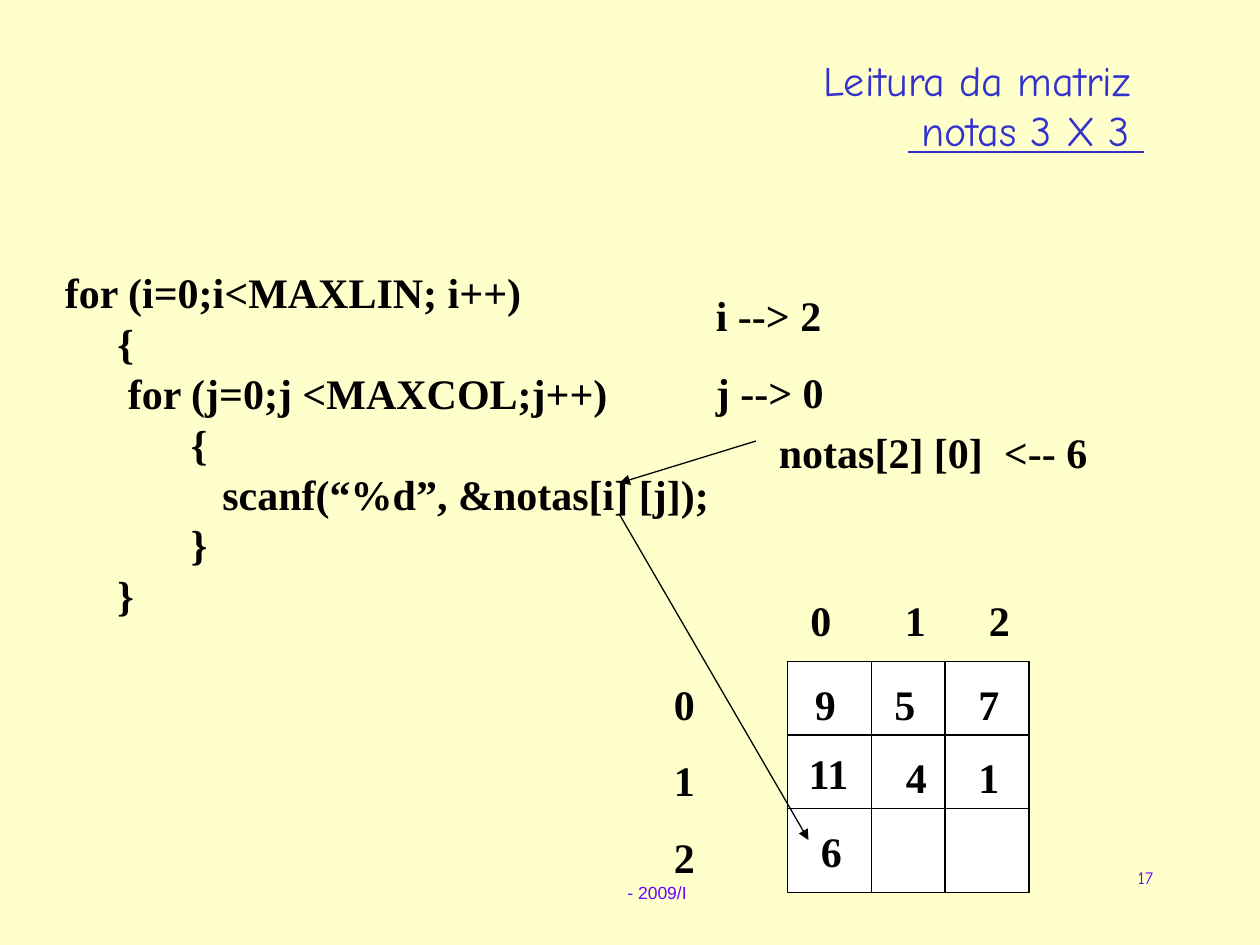
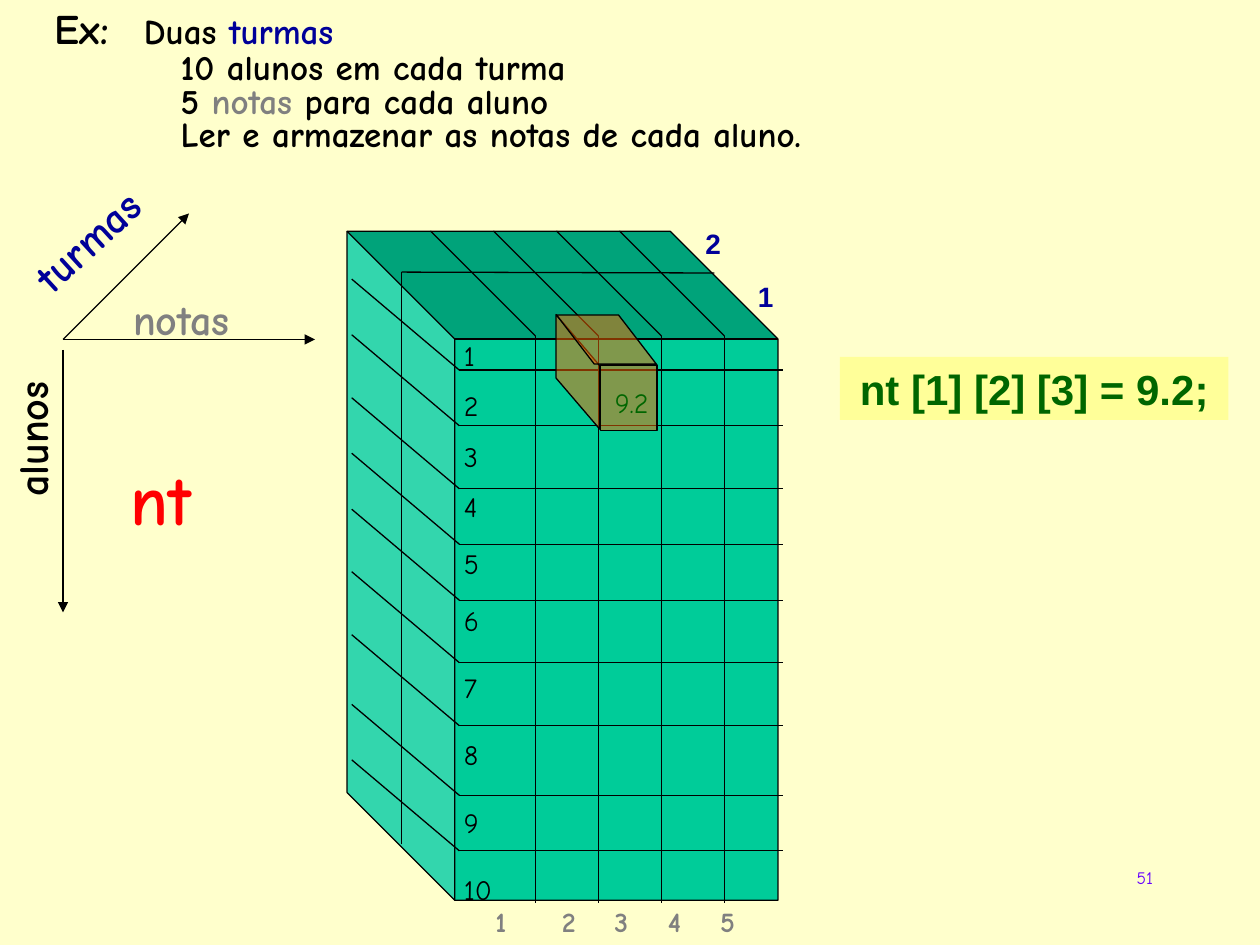
from lxml.etree import SubElement
from pptx import Presentation
from pptx.dml.color import RGBColor
from pptx.enum.shapes import MSO_CONNECTOR, MSO_SHAPE
from pptx.enum.text import MSO_ANCHOR, PP_ALIGN
from pptx.oxml.ns import qn
from pptx.util import Pt

# Shared colours and fonts
CREAM, BLACK, WHITE = "FFFFCC", "000000", "FFFFFF"
BLUE, NAVY, VIOLET = "3333CC", "000099", "6600FF"
GRAY, GREEN, DARK_GREEN = "808080", "00CC99", "006600"
RED, ORANGE, YELLOW = "FF0000", "FF6600", "FFFF99"
COMIC, TIMES, ARIAL = "Comic Neue", "Times New Roman", "Arial"
rgb = RGBColor.from_string


def text(sp, lines, font, size, color, bold=False, align=PP_ALIGN.LEFT,
         before=0, spacing=None, tab=None):
    """Fill a shape; a line is a string or a list of (text, colour, size) runs."""
    tf = sp.text_frame
    tf.word_wrap = True
    tf.vertical_anchor = MSO_ANCHOR.TOP
    for i, line in enumerate(lines):
        p = tf.add_paragraph() if i else tf.paragraphs[0]
        p.alignment = align
        p.space_before = Pt(before if i else 0)
        if spacing:
            p.line_spacing = spacing[i]
        if tab:
            tabs = SubElement(p._p.get_or_add_pPr(), qn("a:tabLst"))
            SubElement(tabs, qn("a:tab"), pos=str(Pt(tab)), algn="l")
        runs = [(line, color, size)] if isinstance(line, str) else line
        for words, run_color, run_size in runs:
            r = p.add_run()
            r.text = words
            r.font.name = font
            r.font.size = Pt(run_size)
            r.font.bold = bold
            r.font.color.rgb = rgb(run_color)
    return tf


def line(s, x1, y1, x2, y2, arrow=False):
    c = s.shapes.add_connector(MSO_CONNECTOR.STRAIGHT, Pt(x1), Pt(y1), Pt(x2), Pt(y2))
    c.line.color.rgb = rgb(BLACK)
    c.line.width = Pt(0.75)
    if arrow:
        SubElement(c.line._get_or_add_ln(), qn("a:tailEnd"), type="triangle")
    SubElement(c._element.spPr, qn("a:effectLst"))


prs = Presentation()
prs.slide_width, prs.slide_height = Pt(720), Pt(540)
master = prs.slide_master
fill = master.background.fill
fill.solid()
fill.fore_color.rgb = rgb(CREAM)

# Both slides, with their page numbers
s1 = prs.slides.add_slide(prs.slide_layouts[5])
s2 = prs.slides.add_slide(prs.slide_layouts[1])
for s, number in ((s1, "17"), (s2, "51")):
    sp = s.shapes.add_textbox(Pt(516), Pt(492), Pt(150), Pt(36))
    text(sp, [number], COMIC, 10, VIOLET, align=PP_ALIGN.RIGHT)

# Footer, moved to the master so that both slides share it
sp = s1.shapes.add_textbox(Pt(351.5), Pt(500.5), Pt(50), Pt(19.5))
text(sp, ["- 2009/I"], ARIAL, 10, VIOLET)
master.shapes._spTree.append(sp._element)

# Slide 1: title
s = s1
sp = s.shapes.title
sp.left, sp.top, sp.width, sp.height = Pt(463.5), Pt(27.5), Pt(205), Pt(65)
tf = text(sp, ["Leitura da matriz", " notas 3 X 3 "], COMIC, 24, BLUE)
p = tf.paragraphs[1]
p._p.get_or_add_pPr().set("marL", str(Pt(48)))
p.runs[0].font.underline = True

# Slide 1: code
code = [
    "for (i=0;i<MAXLIN; i++)",
    "     {",
    "      for (j=0;j <MAXCOL;j++)",
    "         \t{",
    "     \t   scanf(“%d”, &notas[i] [j]);",
    "\t}",
    "     }",
]
sp = s.shapes.add_textbox(Pt(30), Pt(149), Pt(400), Pt(209))
text(sp, code, TIMES, 24, BLACK, True, tab=72)

# Slide 1: matrix frame and grid
sp = s.shapes.add_shape(MSO_SHAPE.RECTANGLE, Pt(450), Pt(378), Pt(138), Pt(132))
sp.shadow.inherit = False
sp.fill.solid()
sp.fill.fore_color.rgb = rgb(WHITE)
sp.line.color.rgb = rgb(BLACK)
sp.line.width = Pt(0.75)
for y in (420, 462):
    line(s, 450, y, 588, y)
for x in (498, 540):
    line(s, x, 378, x, 510)

# Slide 1: matrix grades and column indices
for x, y, value in (
        (456, 336, "0"), (510, 336, "1"), (558, 336, "2"),
        (458.5, 384, "9"), (504, 384, "5"), (552, 384, "7"),
        (455, 423.5, "11"), (510.5, 426, "4"), (552, 426, "1"),
        (462, 468, "6")):
    sp = s.shapes.add_textbox(Pt(x), Pt(y), Pt(40), Pt(36))
    text(sp, [value], TIMES, 24, BLACK, True)

# Slide 1: row indices and variable values
for x, y, w, h, lines in (
        (378, 384, 36, 124, ["0", "1", "2"]),
        (402, 162, 282, 80, ["i --> 2", "j --> 0"]),
        (438, 240, 222, 36, ["notas[2] [0]  <-- 6"])):
    sp = s.shapes.add_textbox(Pt(x), Pt(y), Pt(w), Pt(h))
    text(sp, lines, TIMES, 24, BLACK, True, before=15)
line(s, 432, 252, 354, 276, arrow=True)
line(s, 354, 294, 462, 480, arrow=True)

# Slide 2: problem statement
s = s2
sp = s.shapes.title
sp.left, sp.top, sp.width, sp.height = Pt(24), Pt(0.5), Pt(666), Pt(32)
text(sp, [[("Ex:", BLACK, 24), ("\t", BLACK, 28), ("Duas ", BLACK, 20),
           ("turmas", NAVY, 20)]], COMIC, 20, BLACK, True, spacing=[0.8], tab=51)

sp = s.shapes.placeholders[1]
sp.left, sp.top, sp.width, sp.height = Pt(96), Pt(27), Pt(594), Pt(65)
tf = text(sp, ["10 alunos em cada turma",
               [("5 ", BLACK, 20), ("notas", GRAY, 20), (" para cada aluno", BLACK, 20)],
               "Ler e armazenar as notas de cada aluno."],
          COMIC, 20, BLACK, True, spacing=[0.8] * 3)
for p in tf.paragraphs:
    pPr = p._p.get_or_add_pPr()
    pPr.set("marL", "0")
    pPr.set("indent", "0")
    SubElement(pPr, qn("a:buNone"))

# Slide 2: axes
for x, y, x2, y2 in ((36, 200, 36, 350), (36, 194, 180, 194), (36, 194, 108, 122)):
    line(s, x, y, x2, y2, arrow=True)
for x, y, w, h, rotation, size, color, word in (
        (69, 164, 90, 36, 0, 24, GRAY, "notas"),
        (-27, 233, 90, 36, 270, 24, BLACK, "alunos"),
        (5, 114, 102, 36, 317.5, 24, NAVY, "turmas"),
        (67.5, 257, 60, 55, 0, 40, RED, "nt")):
    sp = s.shapes.add_textbox(Pt(x), Pt(y), Pt(w), Pt(h))
    sp.rotation = rotation
    align = PP_ALIGN.CENTER if rotation == 270 else PP_ALIGN.LEFT
    text(sp, [word], COMIC, size, color, True, align)

# Slide 2: cube with its grid
sp = s.shapes.add_shape(MSO_SHAPE.CUBE, Pt(130.3), Pt(200.2), Pt(382.3), Pt(246.2))
sp.rotation = 270
sp.shadow.inherit = False
sp.fill.solid()
sp.fill.fore_color.rgb = rgb(GREEN)
sp.line.color.rgb = rgb(BLACK)
sp.line.width = Pt(0.75)
for y in (211.5, 243.3, 279.3, 311, 343, 378.7, 414.7, 454.5, 486.2):
    line(s, 201, y - 52, 262.5, y)
    line(s, 262.5, y, 447.3, y)
for x in range(306, 415, 36):
    line(s, x - 60, 132, x, 192)
    line(s, x, 192, x, 516)
line(s, 229.5, 155.5, 408.3, 156)
line(s, 229.5, 482.5, 229.5, 155.5)

# Slide 2: numbers of classes, students and grades
for x, y, number in ((396, 126, "2"), (426, 156, "1")):
    sp = s.shapes.add_textbox(Pt(x), Pt(y), Pt(24), Pt(27))
    text(sp, [number], ARIAL, 16, NAVY, True)
sp = s.shapes.add_textbox(Pt(258), Pt(180.3), Pt(42), Pt(341))
text(sp, [str(n) for n in range(1, 11)], COMIC, 16, BLACK,
     spacing=[1.5] * 4 + [1.7] * 2 + [2.0] * 4)
for i, x in enumerate((276, 314, 344, 374.5, 404.5)):
    sp = s.shapes.add_textbox(Pt(x), Pt(513.5), Pt(28), Pt(26.5))
    text(sp, [str(i + 1)], COMIC, 16, GRAY, True)

# Slide 2: assignment
sp = s.shapes.add_shape(MSO_SHAPE.RECTANGLE, Pt(480), Pt(204), Pt(222), Pt(36))
sp.shadow.inherit = False
sp.fill.solid()
sp.fill.fore_color.rgb = rgb(YELLOW)
sp.line.fill.background()
text(sp, ["nt [1] [2] [3] = 9.2;"], ARIAL, 24, DARK_GREEN, True, PP_ALIGN.CENTER)

# Slide 2: highlighted block
for kind, x, y, w, h, rotation, slant in (
        (MSO_SHAPE.RECTANGLE, 340.5, 211, 37.5, 32.5, 270, None),
        (MSO_SHAPE.PARALLELOGRAM, 297.5, 200, 65.5, 25, 270, 1.17),
        (MSO_SHAPE.PARALLELOGRAM, 318, 180, 57, 28, 180, 0.77)):
    sp = s.shapes.add_shape(kind, Pt(x), Pt(y), Pt(w), Pt(h))
    sp.rotation = rotation
    sp.shadow.inherit = False
    if slant:
        sp.adjustments[0] = slant
    if rotation == 180:
        sp._element.spPr.xfrm.set("flipH", "1")
    sp.fill.solid()
    sp.fill.fore_color.rgb = rgb(ORANGE)
    shade = sp._element.spPr.find(qn("a:solidFill"))[0]
    SubElement(shade, qn("a:alpha"), val="50000")
    sp.line.color.rgb = rgb(BLACK)
    sp.line.width = Pt(0.75)
sp = s.shapes.add_textbox(Pt(344.3), Pt(217), Pt(40), Pt(27))
text(sp, ["9.2"], COMIC, 16, DARK_GREEN)

prs.save("out.pptx")
